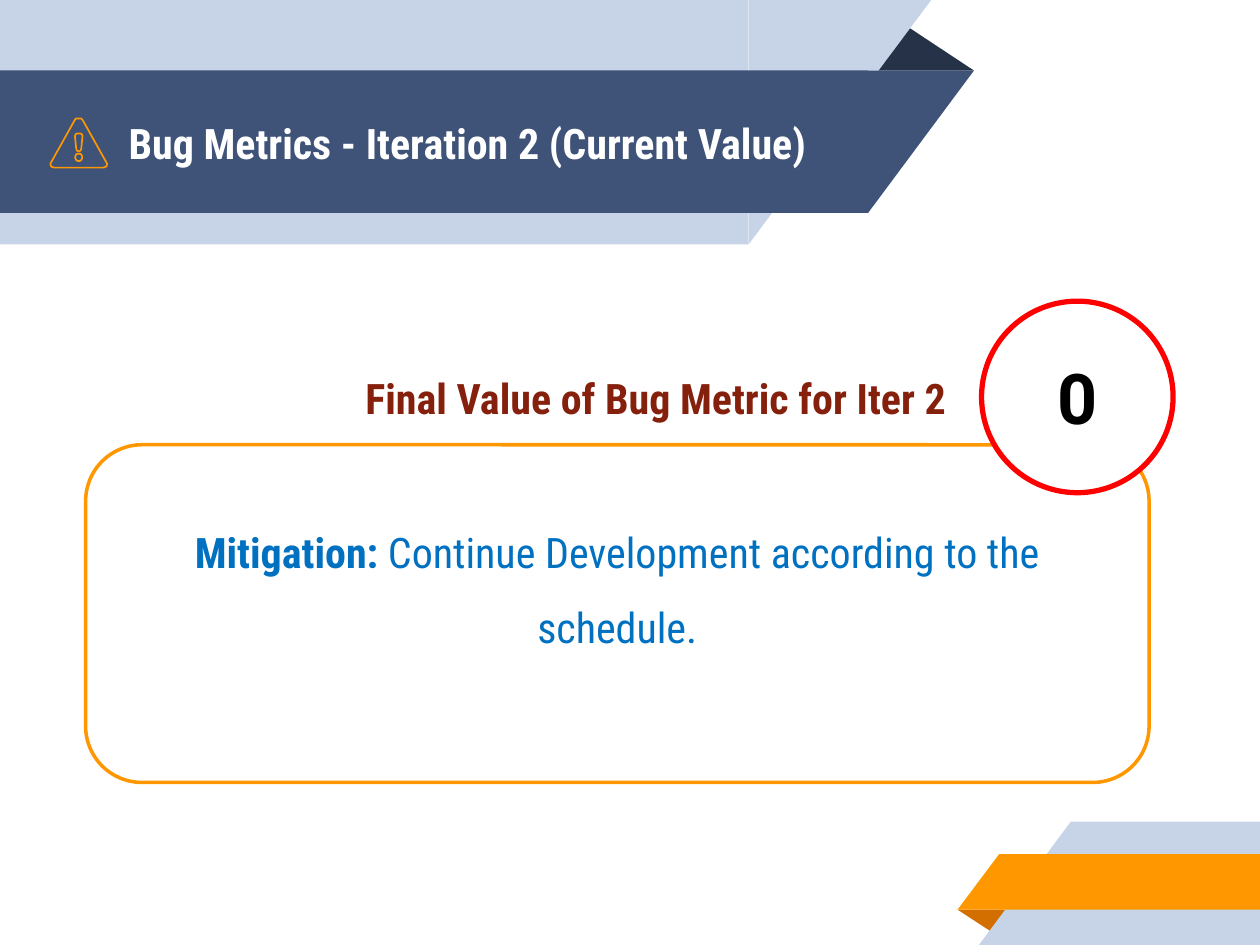
import pptx
import pptx.dml.color
import pptx.enum.shapes
import pptx.enum.text
import pptx.util
from dataclasses import dataclass

Inches = pptx.util.Inches
Pt = pptx.util.Pt
Kind = pptx.enum.shapes.MSO_SHAPE
Align = pptx.enum.text.PP_ALIGN
Anchor = pptx.enum.text.MSO_ANCHOR


@dataclass(frozen=True)
class Theme:
    pale: str = "C7D3E6"
    navy: str = "3F5378"
    ink: str = "263248"
    gold: str = "FF9800"
    rust: str = "D26F00"
    white: str = "FFFFFF"
    black: str = "000000"
    red: str = "FF0000"
    blue: str = "0070C0"
    brown: str = "85200C"
    font: str = "Roboto Condensed"
    digit: str = "Roboto"
    body: int = 24
    big: int = 40


THEME = Theme()


def rgb(code):
    return pptx.dml.color.RGBColor.from_string(code)


def paint(shape, fill=None, line=None, width=1):
    shape.shadow.inherit = False
    if fill:
        shape.fill.solid()
        shape.fill.fore_color.rgb = rgb(fill)
    else:
        shape.fill.background()
    if line:
        shape.line.color.rgb = rgb(line)
        shape.line.width = Pt(width)
    else:
        shape.line.fill.background()
    return shape


def draw(slide, kind, box, fill, turn=0, flip=False, adj=None, **line):
    """Add a preset shape in a box of inches; flip mirrors it left to right."""
    shape = slide.shapes.add_shape(kind, *map(Inches, box))
    shape.rotation = turn
    if flip:
        shape.element.spPr.xfrm.set("flipH", "1")
    if adj is not None:
        shape.adjustments[0] = adj
    return paint(shape, fill, **line)


def write(shape, runs, color, size=THEME.body, font=THEME.font, align=Align.LEFT,
          anchor=Anchor.MIDDLE, space=None, inset=(0.13, 0.13, 0.13, 0.13)):
    """Fill a shape with one paragraph of (text, bold) runs."""
    frame = shape.text_frame
    frame.word_wrap = True
    frame.vertical_anchor = anchor
    (frame.margin_left, frame.margin_top,
     frame.margin_right, frame.margin_bottom) = map(Inches, inset)
    para = frame.paragraphs[0]
    para.alignment = align
    if space:
        para.line_spacing = space
    for text, bold in runs:
        run = para.add_run()
        run.text = text
        run.font.name = font
        run.font.size = Pt(size)
        run.font.bold = bold
        run.font.color.rgb = rgb(color)


def label(slide, box, text, color, **style):
    shape = slide.shapes.add_textbox(*map(Inches, box))
    write(shape, [(text, True)], color, **style)


def band(slide, box, slant, fill, right):
    """Draw a bar whose right or left end is cut at a slant."""
    x, y, w, h = box
    draw(slide, Kind.RECTANGLE, box, fill)
    edge = x + w if right else x - slant
    draw(slide, Kind.RIGHT_TRIANGLE, (edge, y, slant, h), fill,
         turn=180 if right else 0, flip=True)


def header(slide, box):
    x, y, w, h = box
    draw(slide, Kind.ISOSCELES_TRIANGLE, (x + w - 0.85, y + 0.18, 0.85, 0.38),
         THEME.ink, adj=0.324)
    band(slide, (x, y, 5.94, h), 1.45, THEME.pale, True)
    band(slide, (x, y + 0.56, w - 0.84, 1.13), 0.84, THEME.navy, True)
    label(slide, (x + 0.89, y + 0.57, 6.01, 1.12),
          "Bug Metrics - Iteration 2 (Current Value)", THEME.white)
    alert(slide, (x + 0.4, y + 0.94, 0.45, 0.39))


def footer(slide, box):
    x, y, w, h = box
    draw(slide, Kind.ISOSCELES_TRIANGLE, (x, y + 0.7, 0.43, 0.19),
         THEME.rust, turn=180, adj=0.324)
    band(slide, (x + 0.9, y, w - 0.9, h), 0.73, THEME.pale, False)
    band(slide, (x + 0.33, y + 0.26, w - 0.33, 0.44), 0.33, THEME.gold, False)


def alert(slide, box):
    """Outline a warning sign: rounded triangle, dot and bar."""
    x, y, w, h = box
    half = [(0.02, 0), (0.03, 0.01), (0.22, 0.35), (0.225, 0.36),
            (0.22, 0.38), (0.21, 0.385), (0.195, 0.39)]
    dot = [(0.01, 0.28), (0.02, 0.285), (0.027, 0.3), (0.027, 0.315),
           (0.02, 0.33), (0.01, 0.337)]
    bar = [(0.015, 0.12), (0.025, 0.125), (0.03, 0.14), (0.02, 0.24),
           (0.015, 0.255), (0.005, 0.26)]
    pen = None
    for side in (half, dot, bar):
        ring = side + [(-dx, dy) for dx, dy in reversed(side)]
        spots = [(Inches(x + w / 2 + dx), Inches(y + dy)) for dx, dy in ring]
        if pen is None:
            pen = slide.shapes.build_freeform(*spots[0])
        else:
            pen.move_to(*spots[0])
        pen.add_line_segments(spots[1:], close=True)
    paint(pen.convert_to_shape(), line=THEME.gold, width=0.96)


def metric(slide, box):
    x, y, w, h = box
    card = draw(slide, Kind.ROUNDED_RECTANGLE, (x, y + 1.14, w - 0.19, h - 1.14),
                THEME.white, adj=0.167, line=THEME.gold, width=2)
    write(card, [("Mitigation: ", True),
                 ("Continue Development according to the schedule.", False)],
          THEME.blue, align=Align.CENTER, space=1.5,
          inset=(0.13, 0.07, 0.13, 0.66))
    label(slide, (x + 2.09, y + 0.44, 4.9, 0.7),
          "Final Value of Bug Metric for Iter 2", THEME.brown, anchor=Anchor.TOP)
    ring = draw(slide, Kind.OVAL, (x + w - 1.52, y, 1.52, 1.52),
                THEME.white, line=THEME.red, width=3)
    write(ring, [("0", True)], THEME.black, size=THEME.big,
          font=THEME.digit, align=Align.CENTER)


def main():
    deck = pptx.Presentation()
    deck.slide_width, deck.slide_height = Inches(10), Inches(7.5)
    slide = deck.slides.add_slide(deck.slide_layouts[6])
    footer(slide, (7.6, 6.52, 2.4, 0.98))
    header(slide, (0, 0, 7.73, 1.94))
    metric(slide, (0.68, 2.39, 8.63, 3.82))
    deck.save("out.pptx")


if __name__ == "__main__":
    main()
